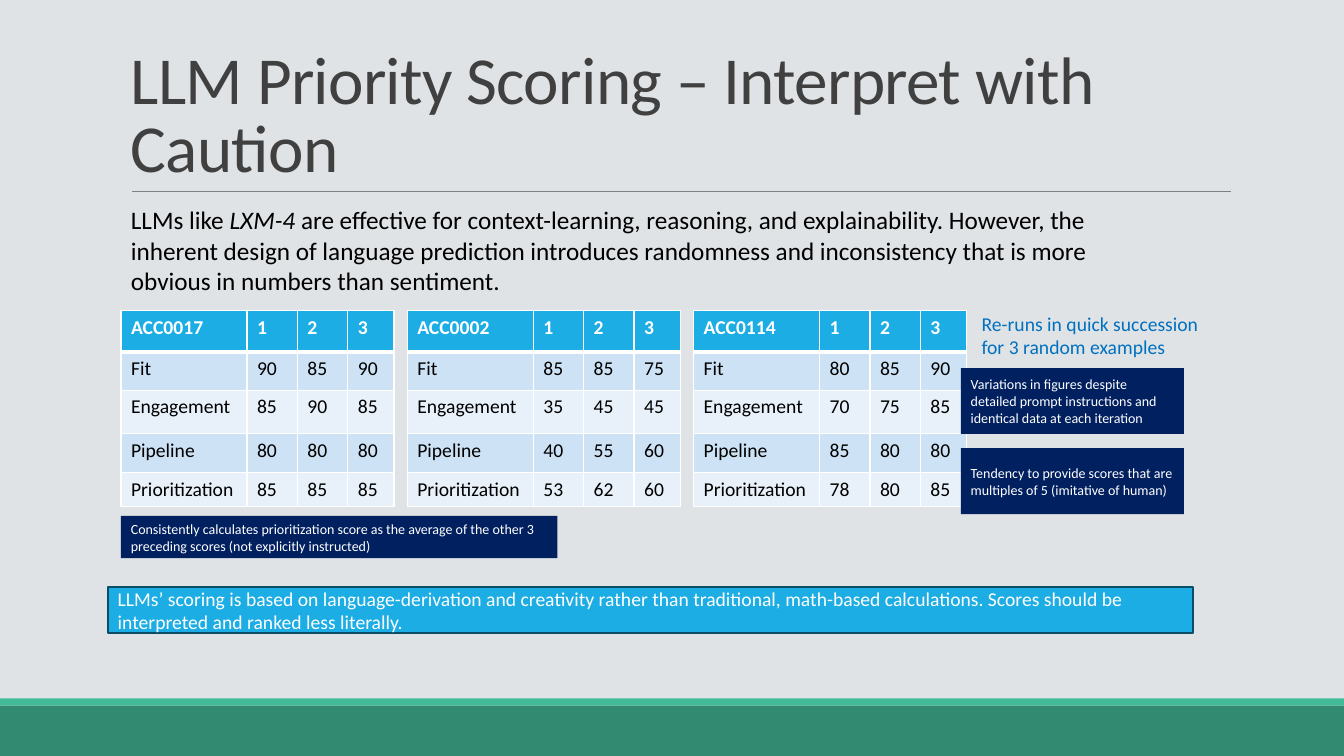
from lxml import etree
from pptx import Presentation
from pptx.dml.color import RGBColor
from pptx.enum.shapes import MSO_CONNECTOR, MSO_SHAPE
from pptx.enum.text import MSO_ANCHOR, PP_ALIGN
from pptx.oxml.ns import qn
from pptx.util import Pt

RECTANGLE = MSO_SHAPE.RECTANGLE
STRAIGHT = MSO_CONNECTOR.STRAIGHT
TOP, MIDDLE, BOTTOM = MSO_ANCHOR.TOP, MSO_ANCHOR.MIDDLE, MSO_ANCHOR.BOTTOM
LEFT = PP_ALIGN.LEFT

WHITE, BLACK, SKY, NAVY = "FFFFFF", "000000", "1CADE4", "002060"
BANDS = ["E8F1FA", "CDE3F5"]


def color(hex_string):
    return RGBColor.from_string(hex_string)


def write(frame, pieces, size, ink, anchor=TOP, bold=False):
    """Fill a text frame with runs; each piece is (text, italic)."""
    frame.word_wrap = True
    frame.vertical_anchor = anchor
    paragraph = frame.paragraphs[0]
    paragraph.alignment = LEFT
    for text, italic in pieces:
        run = paragraph.add_run()
        run.text = text
        run.font.name = "Calibri"
        run.font.size = Pt(size)
        run.font.bold = bold
        run.font.italic = italic
        run.font.color.rgb = color(ink)
    return paragraph


deck = Presentation()
deck.slide_width, deck.slide_height = Pt(960), Pt(540)
slide = deck.slides.add_slide(deck.slide_layouts[6])
slide.background.fill.solid()
slide.background.fill.fore_color.rgb = color("DFE3E5")
shapes = slide.shapes

# Rule under the title
title_rule = shapes.add_connector(STRAIGHT, Pt(94.3), Pt(136.6), Pt(879), Pt(136.6))
title_rule.line.color.rgb = color("808080")
title_rule.line.width = Pt(0.5)
etree.SubElement(title_rule._element.spPr, qn("a:effectLst"))

# Title, introduction and side remark
title = shapes.add_textbox(Pt(86.4), Pt(22.6), Pt(792), Pt(114.2))
heading = write(title.text_frame, [("LLM Priority Scoring – Interpret with Caution", False)],
                48, "404040", BOTTOM)
heading.line_spacing = 0.85
heading.runs[0].font._element.set("spc", "-50")

introduction = shapes.add_textbox(Pt(86.4), Pt(142.6), Pt(710), Pt(72.7))
write(introduction.text_frame, [
    ("LLMs like ", False),
    ("LXM-4", True),
    (" are effective for context-learning, reasoning, and explainability. However, "
     "the inherent design of language prediction introduces randomness and "
     "inconsistency that is more obvious in numbers than sentiment.", False),
], 18, BLACK)

remark = shapes.add_textbox(Pt(694.1), Pt(219), Pt(170.6), Pt(41.2))
write(remark.text_frame, [("Re-runs in quick succession for 3 random examples", False)],
      14, "0070C0")

# Score tables: one per account, one column per re-run
CRITERIA = ["Fit", "Engagement", "Pipeline", "Prioritization"]
ACCOUNTS = {
    "ACC0017": [(90, 85, 90), (85, 90, 85), (80, 80, 80), (85, 85, 85)],
    "ACC0002": [(85, 85, 75), (35, 45, 45), (40, 55, 60), (53, 62, 60)],
    "ACC0114": [(80, 85, 90), (70, 75, 85), (85, 80, 80), (78, 80, 85)],
}
COLUMN_WIDTHS = [90, 36, 36, 33]
ROW_HEIGHTS = [29.5, 27.5, 31, 28, 24]
TABLE_PITCH = 204.5

for position, (account, scores) in enumerate(ACCOUNTS.items()):
    rows = [(account, 1, 2, 3)]
    rows += [(criterion, *values) for criterion, values in zip(CRITERIA, scores)]
    table = shapes.add_table(
        len(rows), len(COLUMN_WIDTHS), Pt(86.4 + position * TABLE_PITCH), Pt(221.8),
        Pt(sum(COLUMN_WIDTHS)), Pt(sum(ROW_HEIGHTS))).table
    for column, width in zip(table.columns, COLUMN_WIDTHS):
        column.width = Pt(width)
    for row, height in zip(table.rows, ROW_HEIGHTS):
        row.height = Pt(height)
    for r, values in enumerate(rows):
        is_header = r == 0
        for c, value in enumerate(values):
            cell = table.cell(r, c)
            write(cell.text_frame, [(str(value), False)], 14,
                  WHITE if is_header else BLACK, bold=is_header)
            properties = cell._tc.get_or_add_tcPr()
            for side in ("lnL", "lnR", "lnT", "lnB"):
                thick = (is_header and side == "lnB") or (r == 1 and side == "lnT")
                border = etree.SubElement(properties, qn(f"a:{side}"),
                                          w=str(Pt(3 if thick else 1)))
                paint = etree.SubElement(border, qn("a:solidFill"))
                etree.SubElement(paint, qn("a:srgbClr"), val=WHITE)
            cell.fill.solid()
            cell.fill.fore_color.rgb = color(SKY if is_header else BANDS[r % 2])

# Footer bands, conclusion and notes: left, top, width, height, fill, outline, size, text
BOXES = [
    (0, 504, 960, 36, "328B71", None, 0, ""),
    (0, 498.8, 960, 5.2, "42BA97", None, 0, ""),
    (77, 419.5, 775, 32.7, SKY, "0C4C64", 14,
     "LLMs’ scoring is based on language-derivation and creativity rather than "
     "traditional, math-based calculations. Scores should be interpreted and ranked "
     "less literally."),
    (86.4, 368.5, 311.7, 30.2, NAVY, None, 10,
     "Consistently calculates prioritization score as the average of the other 3 "
     "preceding scores (not explicitly instructed)"),
    (686.3, 320.2, 159.4, 47, NAVY, None, 10,
     "Tendency to provide scores that are multiples of 5 (imitative of human)"),
    (686.3, 262.9, 159.4, 47, NAVY, None, 10,
     "Variations in figures despite detailed prompt instructions and identical data "
     "at each iteration"),
]
for left, top, width, height, fill, outline, size, text in BOXES:
    box = shapes.add_shape(RECTANGLE, Pt(left), Pt(top), Pt(width), Pt(height))
    box.shadow.inherit = False
    box.fill.solid()
    box.fill.fore_color.rgb = color(fill)
    if outline:
        box.line.color.rgb = color(outline)
        box.line.width = Pt(1.25)
    else:
        box.line.fill.background()
    if text:
        write(box.text_frame, [(text, False)], size, WHITE, MIDDLE)

deck.save("out.pptx")
